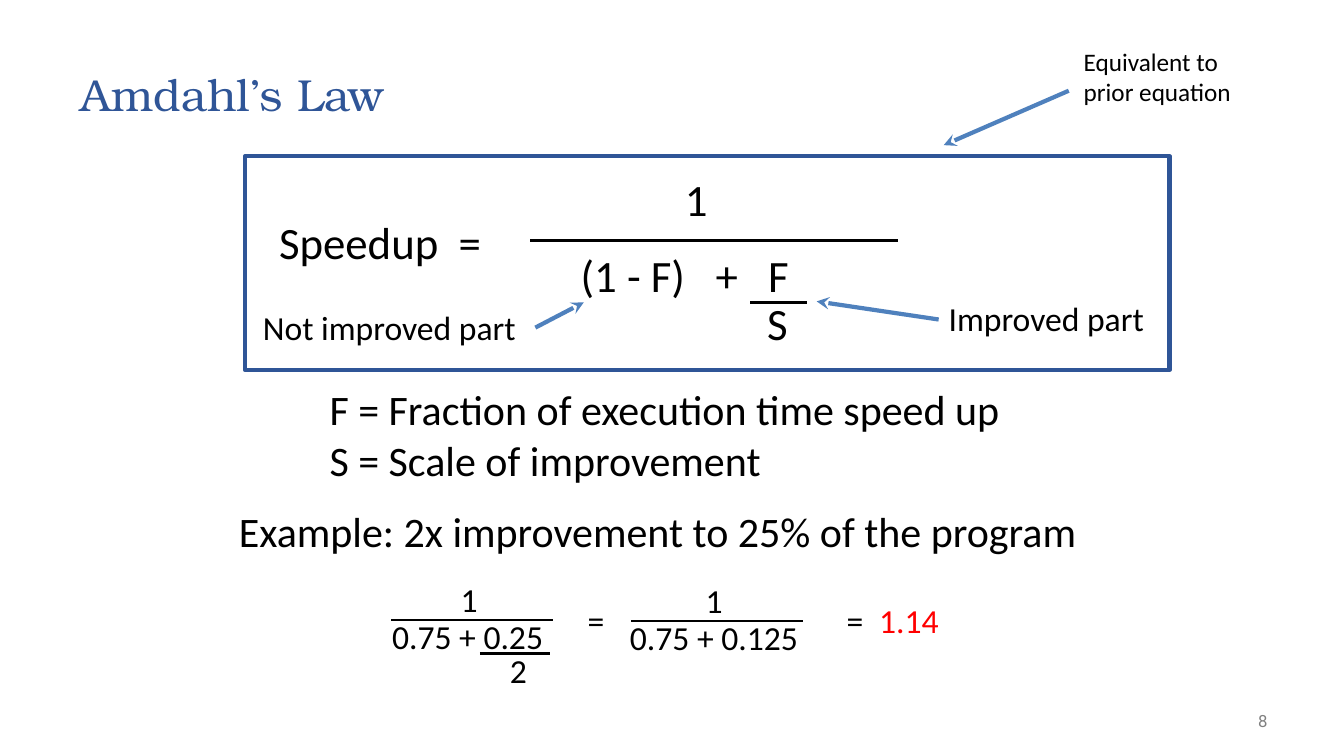
from lxml import etree
from pptx import Presentation
from pptx.dml.color import RGBColor
from pptx.enum.shapes import MSO_CONNECTOR, MSO_SHAPE
from pptx.enum.text import MSO_ANCHOR, PP_ALIGN
from pptx.oxml.ns import qn
from pptx.util import Inches, Pt

LINE, RECT = MSO_CONNECTOR.STRAIGHT, MSO_SHAPE.RECTANGLE
MID, TOP = MSO_ANCHOR.MIDDLE, MSO_ANCHOR.TOP
LEFT, MIDST, RIGHT = PP_ALIGN.LEFT, PP_ALIGN.CENTER, PP_ALIGN.RIGHT

HUES = {"ink": "000000", "navy": "2F5597", "blue": "4F81BD",
        "red": "FF0000", "gray": "808080"}

TITLE = ("Amdahl’s Law", 0.67, 0.3, 12, 1.25)
PAGE = ("8", 9.56, 6.95, 3.11, 0.4)
FRAME = (2.43, 1.55, 9.17, 2.12)

LAW = [("Speedup", 2.67, 2.08, 1.9), ("=", 4.45, 2.08, 0.5),
       ("(1 - F)", 5.66, 2.41, 1.35), ("+", 7, 2.41, 0.5),
       ("F", 7.52, 2.41, 0.5), ("S", 7.51, 2.88, 0.5)]
ONE = ("1", 5.71, 1.65, 2.39, 0.64)
PARTS = [("Not improved part", 2.51, 3, 2.8), ("Improved part", 9.31, 2.91, 2.15)]
TERMS = ("F = Fraction of execution time speed up\nS = Scale of improvement",
         3.17, 3.76, 7.5, 1.15)
CASE = ("Example: 2x improvement to 25% of the program", 2.27, 4.97, 8.65, 0.6)
NOTE = ("Equivalent to prior equation", 10.65, 0.41, 1.89, 0.75)
SUMS = [("1", 4.47, 5.69, 0.4), ("0.75 + 0.25", 3.79, 6.06, 1.8),
        ("2", 4.96, 6.4, 0.4), ("1", 6.9, 5.7, 0.4),
        ("0.75 + 0.125", 6.15, 6.07, 2), ("=", 5.73, 5.9, 0.4),
        ("=", 8.3, 5.9, 0.4)]
GAIN = ("1.14", 8.62, 5.9, 0.85, 0.5)

BARS = [(5.26, 2.39, 8.91), (7.44, 3, 8), (3.88, 6.15, 5.48),
        (4.76, 6.48, 5.45), (6.26, 6.16, 7.96)]
ARROWS = [(5.31, 3.25, 5.79, 3), (9.31, 3.17, 8.1, 2.99),
          (10.6, 0.9, 9.36, 1.44)]


def tint(hue):
    return RGBColor.from_string(HUES[hue])


def write(slide, words, x, y, w, h, size, hue="ink", face="Calibri",
          align=LEFT, anchor=TOP, pad=(0.1, 0.05)):
    box = slide.shapes.add_textbox(*map(Inches, (x, y, w, h)))
    frame = box.text_frame
    frame.word_wrap = True
    frame.vertical_anchor = anchor
    frame.margin_left = frame.margin_right = Inches(pad[0])
    frame.margin_top = frame.margin_bottom = Inches(pad[1])
    frame.text = words
    for para in frame.paragraphs:
        para.alignment = align
        for run in para.runs:
            run.font.size = Pt(size)
            run.font.name = face
            run.font.color.rgb = tint(hue)


def draw(slide, ends, hue, width, head=False):
    line = slide.shapes.add_connector(LINE, *map(Inches, ends))
    line.line.color.rgb = tint(hue)
    line.line.width = Pt(width)
    if head:
        tip = etree.SubElement(line.line._get_or_add_ln(), qn("a:tailEnd"))
        tip.set("type", "stealth")
    etree.SubElement(line._element.spPr, qn("a:effectLst"))


def main():
    """Build the Amdahl's Law slide."""
    deck = Presentation()
    deck.slide_width, deck.slide_height = Inches(13.33), Inches(7.5)
    slide = deck.slides.add_slide(deck.slide_layouts[6])

    frame = slide.shapes.add_shape(RECT, *map(Inches, FRAME))
    frame.shadow.inherit = False
    frame.fill.background()
    frame.line.color.rgb = tint("navy")
    frame.line.width = Pt(3)

    write(slide, *TITLE, 32, "navy", "TeX Gyre Bonum", anchor=MID, pad=(0.13, 0.07))
    write(slide, *PAGE, 12, "gray", "Roboto", RIGHT, MID)
    write(slide, *ONE, 32, align=MIDST)
    for item in LAW:
        write(slide, *item, 0.64, 32)
    for item in PARTS + SUMS:
        write(slide, *item, 0.5, 24)
    write(slide, *GAIN, 24, "red")
    write(slide, *TERMS, 30)
    write(slide, *CASE, 30)
    write(slide, *NOTE, 18)

    for x, y, end in BARS:
        draw(slide, (x, y, end, y), "ink", 2)
    for ends in ARROWS:
        draw(slide, ends, "blue", 3, True)
    deck.save("out.pptx")


if __name__ == "__main__":
    main()
